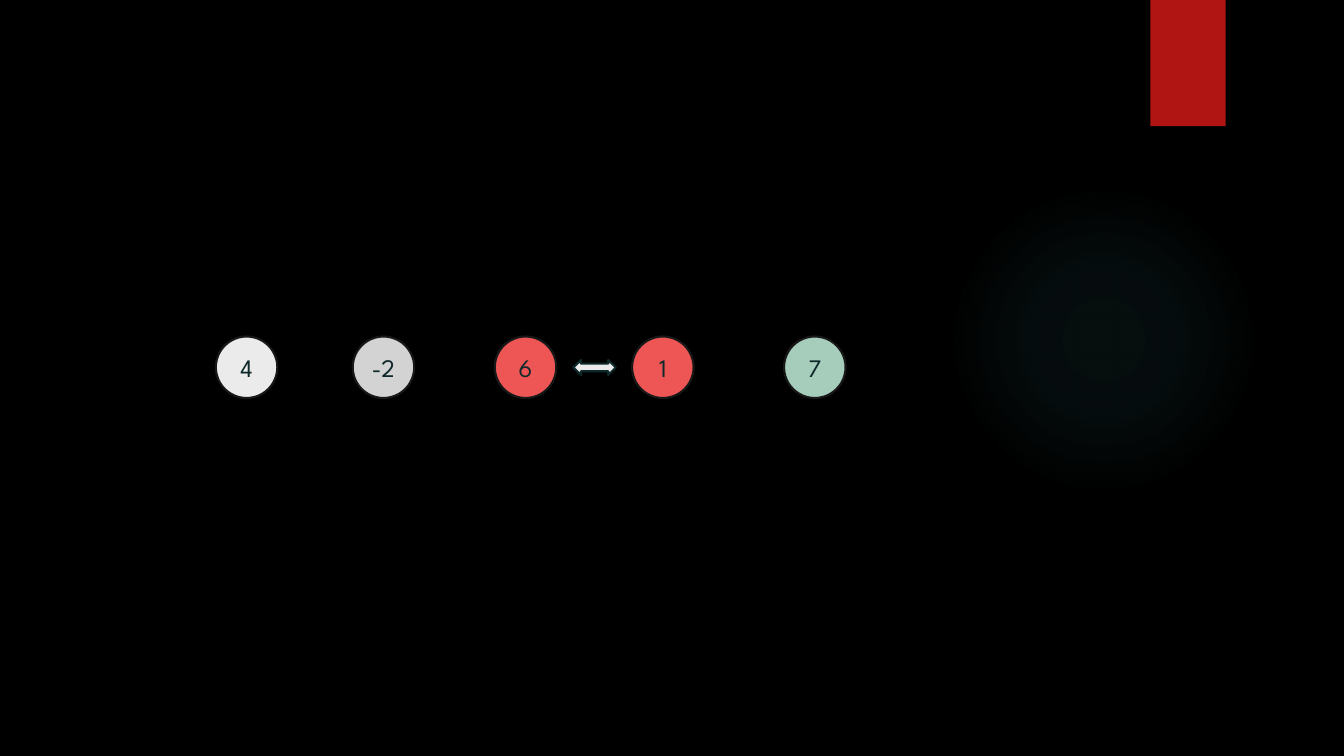
from pptx import Presentation
from pptx.dml.color import RGBColor
from pptx.enum.shapes import MSO_SHAPE
from pptx.enum.text import MSO_ANCHOR, PP_ALIGN
from pptx.oxml import parse_xml
from pptx.oxml.ns import nsdecls, qn
from pptx.util import Cm, Pt

COLOURS = {
    "background": "000000",
    "glow": "50B9C1",
    "ribbon": "B01513",
    "light": "EBEBEB",
    "grey": "D3D3D3",
    "swapped": "ED5654",
    "sorted": "A6CDBC",
    "outline": "181818",
    "ink": "0F282A",
}
GLOW_STOPS = [(0, 7), (36, 6), (69, 0)]  # position and opacity, in percent

DIAMETER = 1.55
ROW_TOP = 8.48
NUMBERS = [
    ("4", 5.44, "light"),
    ("-2", 8.89, "grey"),
    ("6", 12.47, "swapped"),
    ("1", 15.93, "swapped"),
    ("7", 19.76, "sorted"),
]


class SortSlide:
    font = "League Spartan"
    text_size = Pt(18)
    line_width = Pt(1.5)

    def __init__(self, slide):
        self.slide = slide
        background = slide.background.fill
        background.solid()
        background.fore_color.rgb = self.colour("background")

    def colour(self, name):
        return RGBColor.from_string(COLOURS[name])

    def shape(self, kind, left, top, width, height, fill=None, line=None):
        shape = self.slide.shapes.add_shape(
            kind, Cm(left), Cm(top), Cm(width), Cm(height))
        shape.shadow.inherit = False
        if fill:
            shape.fill.solid()
            shape.fill.fore_color.rgb = self.colour(fill)
        else:
            shape.fill.background()
        if line:
            shape.line.color.rgb = self.colour(line)
            shape.line.width = self.line_width
        else:
            shape.line.fill.background()
        return shape

    def glow(self, left, top, size):
        """Add a circle that fades out from its centre."""
        circle = self.shape(MSO_SHAPE.OVAL, left, top, size, size)
        stops = "".join(
            f'<a:gs pos="{position * 1000}"><a:srgbClr val="{COLOURS["glow"]}">'
            f'<a:alpha val="{opacity * 1000}"/></a:srgbClr></a:gs>'
            for position, opacity in GLOW_STOPS)
        gradient = parse_xml(
            f'<a:gradFill {nsdecls("a")}><a:gsLst>{stops}</a:gsLst>'
            '<a:path path="circle"><a:fillToRect l="50000" t="50000" '
            'r="50000" b="50000"/></a:path></a:gradFill>')
        properties = circle.element.spPr
        properties.replace(properties.find(qn("a:noFill")), gradient)

    def number(self, text, left, fill):
        circle = self.shape(MSO_SHAPE.OVAL, left, ROW_TOP, DIAMETER, DIAMETER,
                            fill, "outline")
        frame = circle.text_frame
        frame.margin_left = frame.margin_right = 0
        frame.vertical_anchor = MSO_ANCHOR.MIDDLE
        frame.text = text
        paragraph = frame.paragraphs[0]
        paragraph.alignment = PP_ALIGN.CENTER
        font = paragraph.runs[0].font
        font.name = self.font
        font.size = self.text_size
        font.color.rgb = self.colour("ink")


def main():
    deck = Presentation()
    deck.slide_width, deck.slide_height = Cm(33.87), Cm(19.05)
    page = SortSlide(deck.slides.add_slide(deck.slide_layouts[6]))

    page.glow(23.9, 4.65, 7.82)
    page.shape(MSO_SHAPE.RECTANGLE, 28.99, 0, 1.9, 3.18, "ribbon")
    for text, left, fill in NUMBERS:
        page.number(text, left, fill)
    page.shape(MSO_SHAPE.LEFT_RIGHT_ARROW, 14.45, 9.07, 1.07, 0.38,
               "light", "ink")

    deck.save("out.pptx")


if __name__ == "__main__":
    main()
